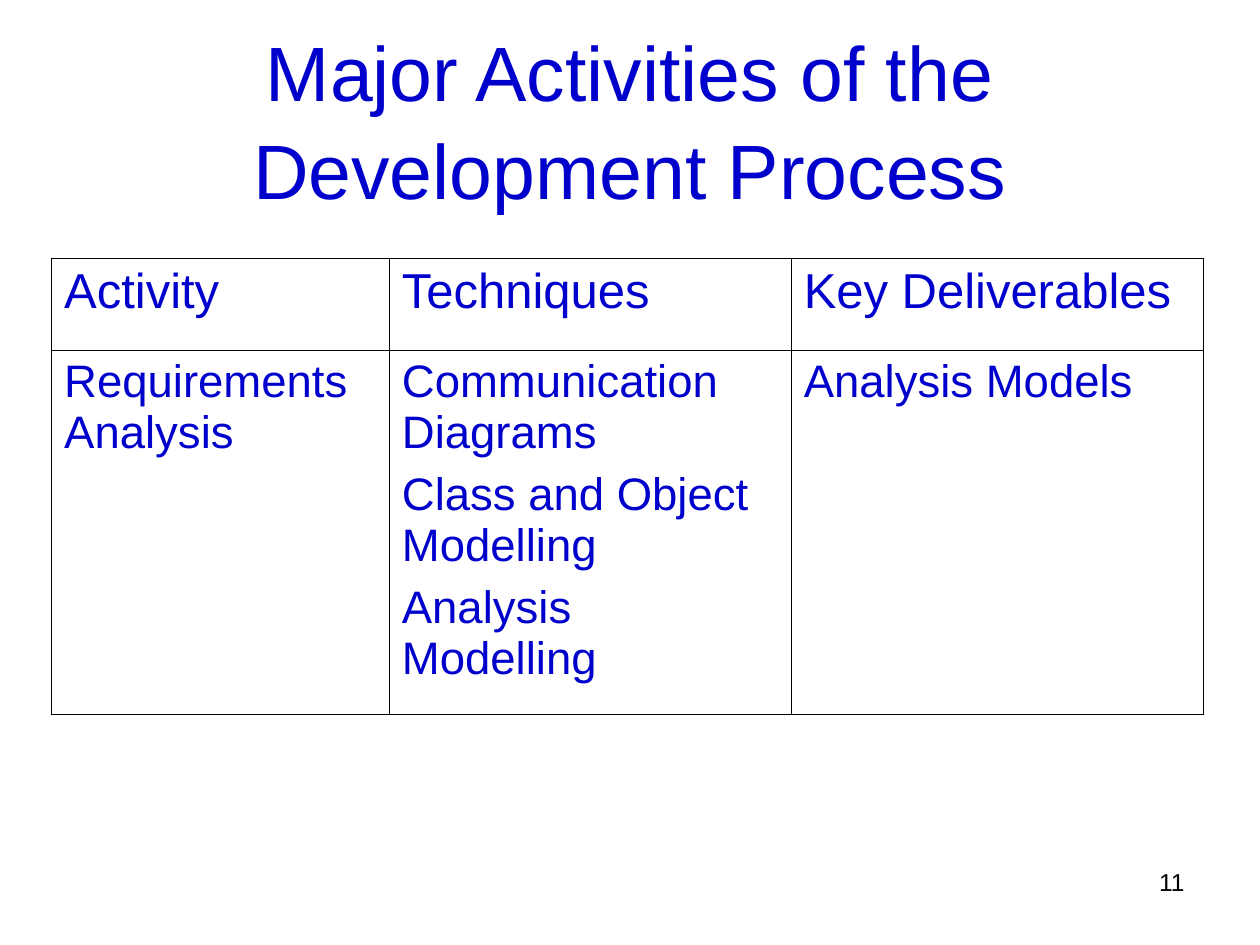
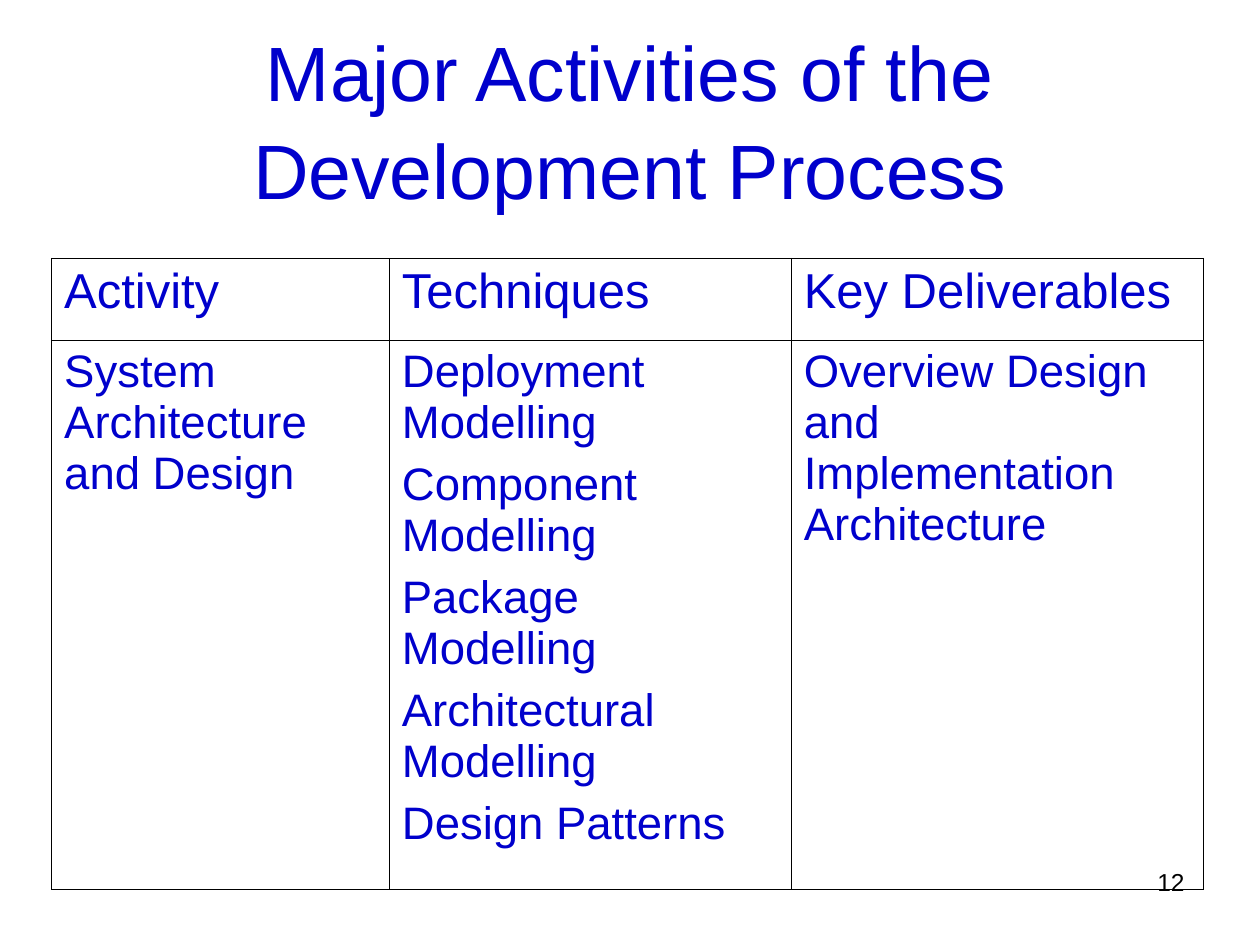
from lxml import etree
from pptx import Presentation
from pptx.dml.color import RGBColor
from pptx.enum.text import MSO_ANCHOR, MSO_AUTO_SIZE, PP_ALIGN
from pptx.oxml.ns import qn
from pptx.util import Inches, Pt

CENTER, RIGHT = PP_ALIGN.CENTER, PP_ALIGN.RIGHT
MIDDLE = MSO_ANCHOR.MIDDLE
NO_AUTOFIT = MSO_AUTO_SIZE.NONE

BLUE = RGBColor(0x00, 0x00, 0xCC)
BLACK = RGBColor(0x00, 0x00, 0x00)
FONT = "Arial"
TITLE_ONLY = 5

SLIDE_WIDTH, SLIDE_HEIGHT = Inches(10), Inches(7.5)
MARGIN = int(SLIDE_WIDTH * 0.05)
TABLE_LEFT, TABLE_TOP = Inches(0.41), Inches(2.05)
COLUMN_WIDTHS = [Inches(2.68), Inches(3.19), Inches(3.27)]
OUTER_LINE, INNER_LINE = Pt(0.75), Pt(0.45)
HEADER_SIZE, BODY_SIZE = 28, 26

TITLE = "Major Activities of the Development Process"
HEADERS = [["Activity"], ["Techniques"], ["Key Deliverables"]]
ACTIVITIES = [
    {
        "number": 11,
        "row_heights": [0.73, 2.89],
        "cells": [
            ["Requirements Analysis"],
            ["Communication Diagrams", "Class and Object Modelling", "Analysis Modelling"],
            ["Analysis Models"],
        ],
    },
    {
        "number": 12,
        "row_heights": [0.65, 4.36],
        "cells": [
            ["System Architecture and Design"],
            ["Deployment Modelling", "Component Modelling", "Package Modelling",
             "Architectural Modelling", "Design Patterns"],
            ["Overview Design and Implementation Architecture"],
        ],
    },
]


def write_paragraphs(text_frame, texts, size, color, alignment=None):
    for index, text in enumerate(texts):
        paragraph = text_frame.add_paragraph() if index else text_frame.paragraphs[0]
        paragraph.alignment = alignment
        if index:
            paragraph.space_before = Pt(size / 4)
        run = paragraph.add_run()
        run.text = text
        run.font.name = FONT
        run.font.size = Pt(size)
        run.font.color.rgb = color


def set_border(cell, side, width):
    properties = cell._tc.get_or_add_tcPr()
    line = etree.SubElement(properties, qn(f"a:ln{side}"), w=str(int(width)))
    fill = etree.SubElement(line, qn("a:solidFill"))
    etree.SubElement(fill, qn("a:srgbClr"), val=str(BLACK))


presentation = Presentation()
presentation.slide_width = SLIDE_WIDTH
presentation.slide_height = SLIDE_HEIGHT

for activity in ACTIVITIES:
    slide = presentation.slides.add_slide(presentation.slide_layouts[TITLE_ONLY])

    title = slide.shapes.title
    title.left, title.top = MARGIN, int(SLIDE_HEIGHT * 0.04)
    title.width, title.height = SLIDE_WIDTH - 2 * MARGIN, Inches(1.25)
    title.text_frame.auto_size = NO_AUTOFIT
    title.text_frame.vertical_anchor = MIDDLE
    write_paragraphs(title.text_frame, [TITLE], 44, BLUE, CENTER)
    title.text_frame.paragraphs[0].line_spacing = 1.07

    row_heights = [Inches(height) for height in activity["row_heights"]]
    rows = [(HEADERS, HEADER_SIZE), (activity["cells"], BODY_SIZE)]
    table = slide.shapes.add_table(
        len(rows), len(COLUMN_WIDTHS), TABLE_LEFT, TABLE_TOP,
        sum(COLUMN_WIDTHS), sum(row_heights)).table
    table.first_row = table.horz_banding = False
    for column, width in zip(table.columns, COLUMN_WIDTHS):
        column.width = width

    last_row, last_column = len(rows) - 1, len(COLUMN_WIDTHS) - 1
    for row_index, (contents, size) in enumerate(rows):
        table.rows[row_index].height = row_heights[row_index]
        for column_index, texts in enumerate(contents):
            cell = table.cell(row_index, column_index)
            outer_sides = {
                "L": column_index == 0,
                "R": column_index == last_column,
                "T": row_index == 0,
                "B": row_index == last_row,
            }
            for side, is_outer in outer_sides.items():
                set_border(cell, side, OUTER_LINE if is_outer else INNER_LINE)
            cell.fill.background()
            write_paragraphs(cell.text_frame, texts, size, BLUE)

    number_width = Inches(2.33)
    number_box = slide.shapes.add_textbox(
        SLIDE_WIDTH - MARGIN - number_width, Inches(6.83), number_width, Inches(0.52))
    number_box.text_frame.word_wrap = True
    write_paragraphs(number_box.text_frame, [str(activity["number"])], 14, BLACK, RIGHT)

presentation.save("out.pptx")
